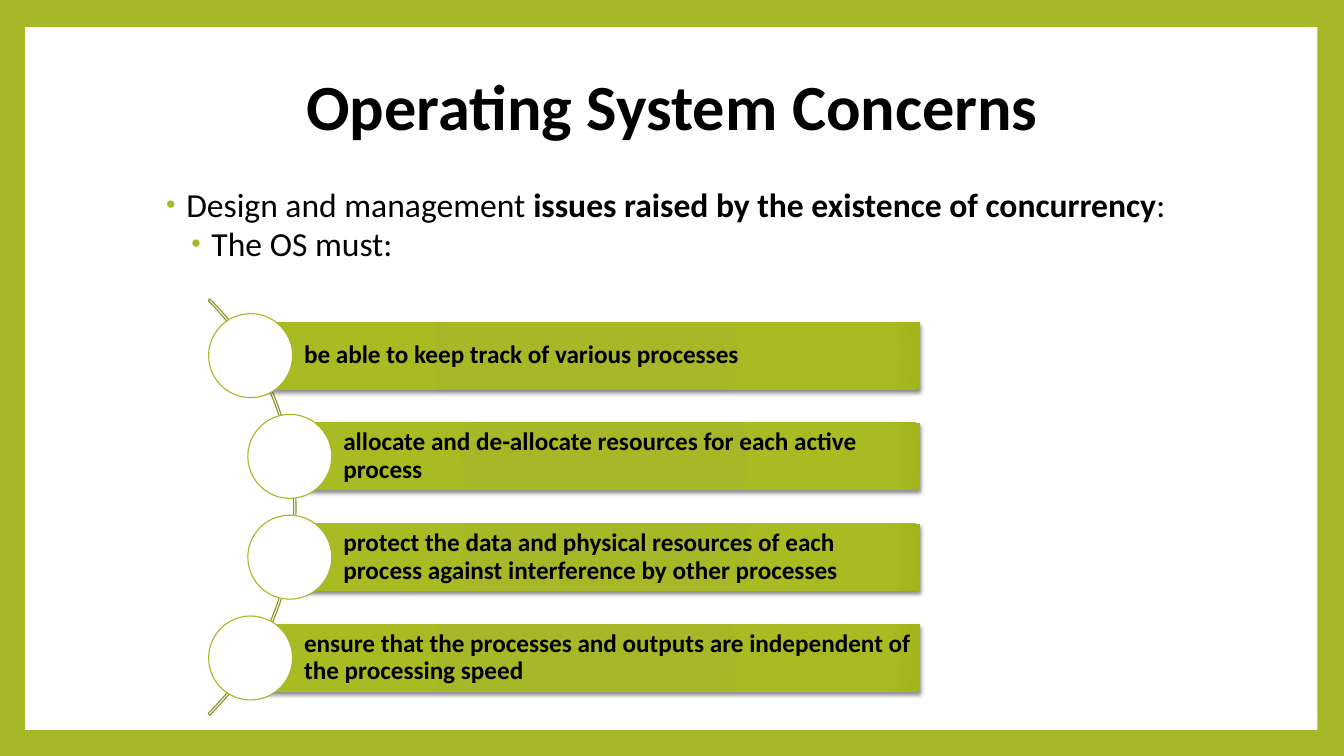
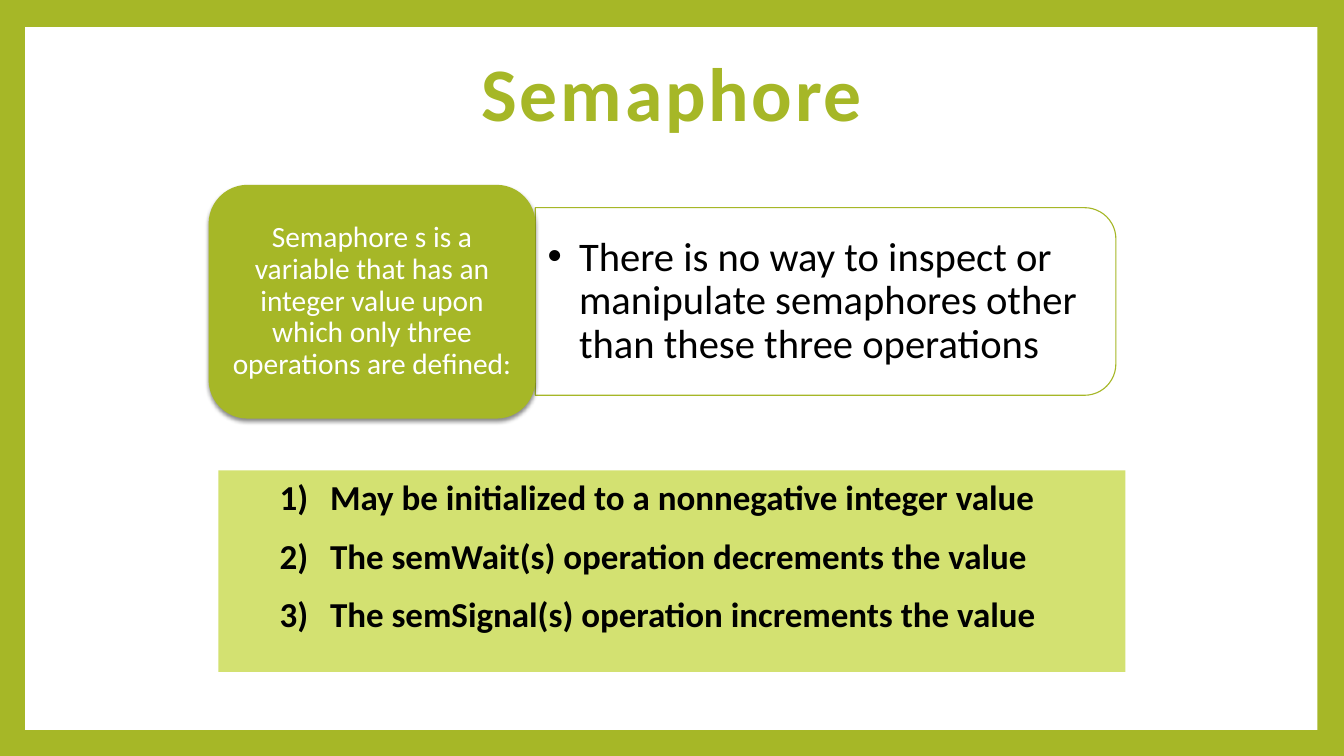
from lxml import etree
from pptx import Presentation
from pptx.dml.color import RGBColor
from pptx.enum.shapes import MSO_SHAPE
from pptx.enum.text import MSO_ANCHOR, MSO_AUTO_SIZE, PP_ALIGN
from pptx.oxml import parse_xml
from pptx.oxml.ns import nsdecls, qn
from pptx.util import Pt

RECTANGLE = MSO_SHAPE.RECTANGLE
ROUNDED = MSO_SHAPE.ROUNDED_RECTANGLE
ROUNDED_TOP = MSO_SHAPE.ROUND_2_SAME_RECTANGLE
OVAL = MSO_SHAPE.OVAL
ARC = MSO_SHAPE.BLOCK_ARC
LEFT, CENTER = PP_ALIGN.LEFT, PP_ALIGN.CENTER
TOP, MIDDLE = MSO_ANCHOR.TOP, MSO_ANCHOR.MIDDLE
NO_AUTOFIT = MSO_AUTO_SIZE.NONE

FONT = "Calibri"
GREEN = "A6B727"
DARK_GREEN = "85931F"
PALE_GREEN = "D3E171"
WHITE = "FFFFFF"
BLACK = "000000"
BAR_STOPS = ((0, GREEN), (90, "A9BB23"), (100, "A1B316"))
OUTLINE = 0.79
TITLE_ONLY = 5

DUTIES = (
    (179, "be able to keep track of various processes"),
    (207, "allocate and de-allocate resources for each active process"),
    (207, "protect the data and physical resources of each process "
          "against interference by other processes"),
    (179, "ensure that the processes and outputs are independent of "
          "the processing speed"),
)
BAR_RIGHT, BAR_HEIGHT, CIRCLE = 657.5, 48, 60
FIRST_BAR_MIDDLE, BAR_PITCH = 254, 72

OPERATIONS = (
    "May be initialized to a nonnegative integer value",
    "The semWait(s) operation decrements the value",
    "The semSignal(s) operation increments the value",
)


def color(hex_code):
    """Return the colour for a hex string."""
    return RGBColor.from_string(hex_code)


def add_block(slide, kind, box, fill=None, line=None):
    """Add a preset shape with a flat fill, an optional outline and no shadow."""
    shape = slide.shapes.add_shape(kind, *map(Pt, box))
    shape.shadow.inherit = False
    if fill:
        shape.fill.solid()
        shape.fill.fore_color.rgb = color(fill)
    else:
        shape.fill.background()
    if line:
        shape.line.color.rgb = color(line)
        shape.line.width = Pt(OUTLINE)
    else:
        shape.line.fill.background()
    return shape


def add_shadow(shape):
    """Give a shape a soft shadow below it."""
    effects = shape.element.spPr.find(qn("a:effectLst"))
    effects.append(parse_xml(
        f'<a:outerShdw {nsdecls("a")} blurRad="{Pt(3)}" dist="{Pt(2)}" '
        f'dir="5400000" rotWithShape="0"><a:srgbClr val="{BLACK}">'
        '<a:alpha val="45000"/></a:srgbClr></a:outerShdw>'))


def fill_radially(shape, stops):
    """Replace a flat fill with a gradient centred on the lower right corner."""
    stop_list = "".join(
        f'<a:gs pos="{position * 1000}"><a:srgbClr val="{code}"/></a:gs>'
        for position, code in stops)
    properties = shape.element.spPr
    properties.replace(properties.find(qn("a:solidFill")), parse_xml(
        f'<a:gradFill {nsdecls("a")} rotWithShape="1"><a:gsLst>{stop_list}</a:gsLst>'
        '<a:path path="circle"><a:fillToRect l="100000" t="100000" '
        'r="100000" b="100000"/></a:path></a:gradFill>'))


def set_frame(shape, anchor, insets=(7.2, 3.6, 7.2, 3.6)):
    """Prepare the text frame of a shape and return it."""
    frame = shape.text_frame
    frame.word_wrap = True
    frame.auto_size = NO_AUTOFIT
    frame.vertical_anchor = anchor
    (frame.margin_left, frame.margin_top,
     frame.margin_right, frame.margin_bottom) = map(Pt, insets)
    return frame


def add_text_box(slide, box, anchor, insets=(7.2, 3.6, 7.2, 3.6)):
    """Add a wrapping text box and return its text frame."""
    return set_frame(slide.shapes.add_textbox(*map(Pt, box)), anchor, insets)


def write(frame, runs, size, ink=BLACK, align=LEFT, spacing=0.9, before=0, after=0):
    """Write one paragraph from (text, bold) runs, using the empty first one."""
    paragraph = frame.paragraphs[0]
    if paragraph.runs:
        paragraph = frame.add_paragraph()
    paragraph.alignment = align
    paragraph.line_spacing = spacing
    paragraph.space_before = Pt(before)
    paragraph.space_after = Pt(after)
    for text, bold in runs:
        run = paragraph.add_run()
        run.text = text
        run.font.name = FONT
        run.font.size = Pt(size)
        run.font.bold = bold
        run.font.color.rgb = color(ink)
    return paragraph


def add_bullet(paragraph, margin, hanging, tag="a:buChar", ink=None, **mark):
    """Give a paragraph a hanging bullet or number."""
    properties = paragraph._p.get_or_add_pPr()
    properties.set("marL", str(Pt(margin)))
    properties.set("indent", str(Pt(-hanging)))
    if ink:
        bullet_color = etree.SubElement(properties, qn("a:buClr"))
        etree.SubElement(bullet_color, qn("a:srgbClr"), val=ink)
        etree.SubElement(properties, qn("a:buSzPct"), val="80000")
    etree.SubElement(properties, qn("a:buFont"), typeface="Arial" if tag == "a:buChar" else FONT)
    etree.SubElement(properties, qn(tag), **mark)


def add_titled_slide(presentation, title, box, size, ink=BLACK):
    """Add a title-only slide and return it with its title paragraph."""
    slide = presentation.slides.add_slide(presentation.slide_layouts[TITLE_ONLY])
    placeholder = slide.shapes.title
    (placeholder.left, placeholder.top,
     placeholder.width, placeholder.height) = map(Pt, box)
    frame = set_frame(placeholder, MIDDLE)
    return slide, write(frame, [(title, True)], size, ink, CENTER)


def frame_master(presentation, slide):
    """Put the green background and the white panel on the slide master."""
    master = presentation.slide_master
    master.background.fill.solid()
    master.background.fill.fore_color.rgb = color(GREEN)
    panel = add_block(slide, RECTANGLE, (18, 19.4, 923, 502), WHITE)
    master.shapes.element.insert(2, panel.element)


def add_duty(slide, left, middle, text):
    """Add a shaded bar with its text and the circle at its left end."""
    bar = add_block(slide, RECTANGLE, (left, middle - BAR_HEIGHT / 2,
                                       BAR_RIGHT - left, BAR_HEIGHT), GREEN)
    fill_radially(bar, BAR_STOPS)
    add_shadow(bar)
    write(set_frame(bar, MIDDLE, (38.2, 3.6, 3.6, 3.6)), [(text, True)], 18)
    add_block(slide, OVAL, (left - CIRCLE / 2, middle - CIRCLE / 2, CIRCLE, CIRCLE),
              WHITE, GREEN)


def build_concerns(presentation):
    """Build the slide on what the operating system must do."""
    slide, _ = add_titled_slide(presentation, "Operating System Concerns",
                                (172, 36, 616, 84), 46)
    frame_master(presentation, slide)
    frame = add_text_box(slide, (108, 131, 765, 76), TOP)
    issue = write(frame, [("Design and management ", False),
                          ("issues raised by the existence of concurrency", True),
                          (":", False)], 24, before=14)
    add_bullet(issue, 18, 14.4, ink=GREEN, char="•")
    must = write(frame, [("The OS must:", False)], 24, before=2, after=4)
    must.level = 1
    add_bullet(must, 36, 14.4, ink=GREEN, char="•")

    arc = add_block(slide, ARC, (-209, 152, 420.5, 420.5), line=DARK_GREEN)
    for index, value in enumerate((189, 27, 0.004)):
        arc.adjustments[index] = value
    for index, (left, text) in enumerate(DUTIES):
        add_duty(slide, left, FIRST_BAR_MIDDLE + index * BAR_PITCH, text)


def build_semaphore(presentation):
    """Build the slide that defines a semaphore."""
    slide, title = add_titled_slide(presentation, "Semaphore",
                                    (297, 24, 366, 90), 54, GREEN)
    title.runs[0]._r.get_or_add_rPr().set("spc", "200")

    note = add_block(slide, ROUNDED_TOP, (522.7, 8, 134, 414.7), WHITE, GREEN)
    note.rotation = 90
    frame = add_text_box(slide, (382.5, 155.5, 408, 120), MIDDLE, (8.6, 4.3, 8.6, 4.3))
    remark = write(frame, [("There is no way to inspect or manipulate semaphores "
                            "other than these three operations", False)], 29)
    remark.level = 1
    add_bullet(remark, 22.5, 22.5, char="•")

    definition = add_block(slide, ROUNDED, (149, 132, 233.5, 167), GREEN)
    add_shadow(definition)
    write(set_frame(definition, MIDDLE, (6.3, 3.2, 6.3, 3.2)),
          [("Semaphore s is a variable that has an integer value upon "
            "which only three operations are defined:", False)], 21, WHITE, CENTER)

    frame = set_frame(add_block(slide, RECTANGLE, (156, 336, 648, 144), PALE_GREEN), TOP)
    for text in OPERATIONS:
        operation = write(frame, [(text, True)], 25, spacing=1.0, before=12)
        add_bullet(operation, 72.7, 36, "a:buAutoNum", type="arabicParenR")


def main():
    """Build and save the presentation."""
    presentation = Presentation()
    presentation.slide_width = Pt(960)
    presentation.slide_height = Pt(540)
    build_concerns(presentation)
    build_semaphore(presentation)
    presentation.save("out.pptx")


if __name__ == "__main__":
    main()
